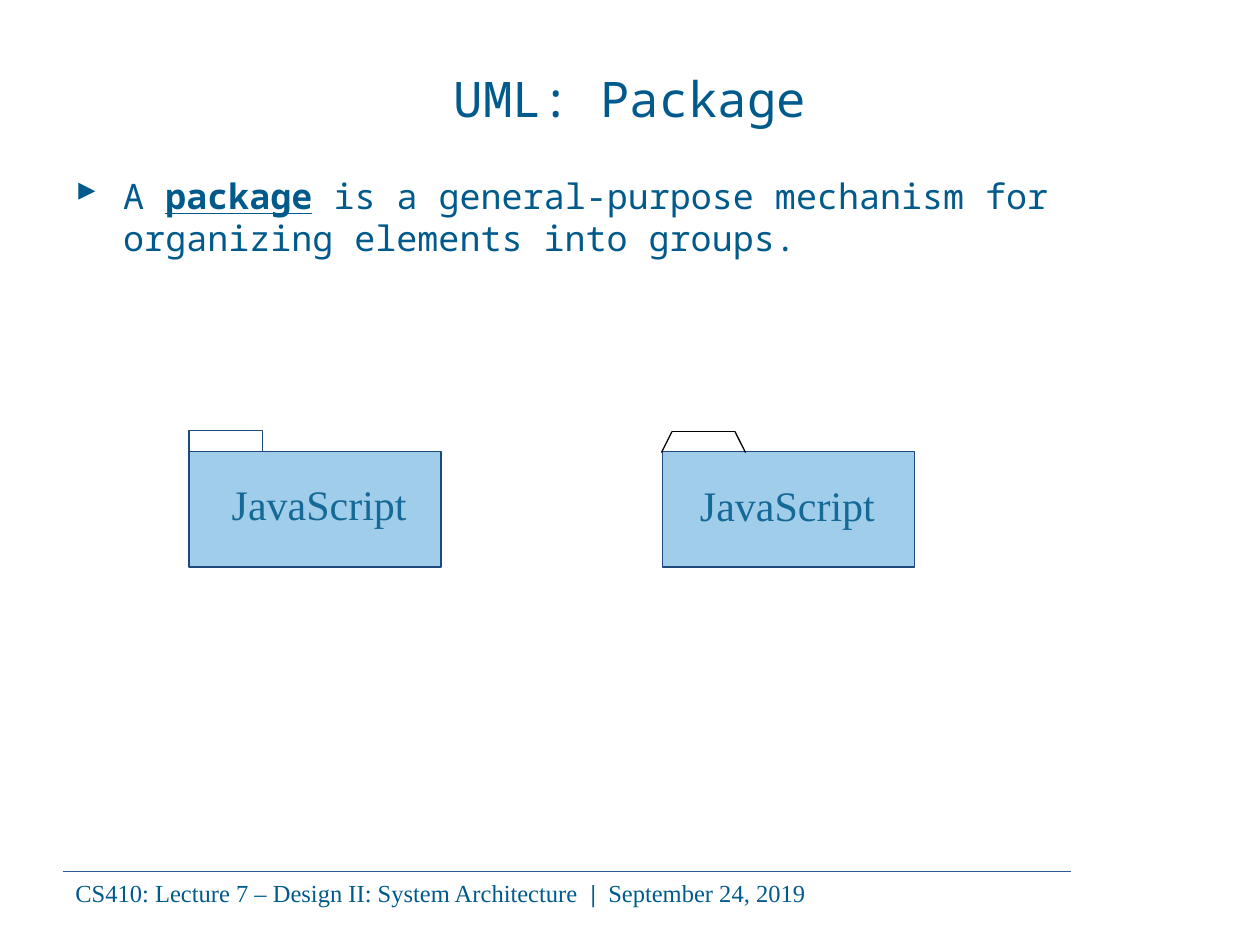
from typing import NamedTuple

from lxml import etree
from pptx import Presentation
from pptx.dml.color import RGBColor
from pptx.enum.shapes import MSO_CONNECTOR, MSO_SHAPE
from pptx.enum.text import MSO_ANCHOR, MSO_AUTO_SIZE, PP_ALIGN
from pptx.oxml.ns import qn
from pptx.util import Inches, Pt

LEFT, MID = PP_ALIGN.LEFT, PP_ALIGN.CENTER
TOP, HALF = MSO_ANCHOR.TOP, MSO_ANCHOR.MIDDLE
GROW, FIXED = MSO_AUTO_SIZE.SHAPE_TO_FIT_TEXT, MSO_AUTO_SIZE.NONE
RECT, LINE = MSO_SHAPE.RECTANGLE, MSO_CONNECTOR.STRAIGHT

MONO, SERIF = "Noto Sans Mono", "Times New Roman"
HUES = {"text": "005A8B", "label": "156997", "edge": "1F497D",
        "fill": "A0CEEA", "rule": "2D588D", "tab": "000000"}

# The slide is a grid of 120 columns by 90 rows
CELL = Inches(10) // 120


class Box(NamedTuple):
    col: float
    row: float
    cols: float
    rows: float


class Run(NamedTuple):
    text: str
    bold: bool = False
    under: bool = False


class Style(NamedTuple):
    font: str
    size: int
    hue: str = "text"
    align: PP_ALIGN = LEFT
    anchor: MSO_ANCHOR = TOP
    fit: MSO_AUTO_SIZE = FIXED
    before: int = 0


class Label(NamedTuple):
    box: Box
    runs: list[Run]
    style: Style


class Stroke(NamedTuple):
    col: float
    row: float
    to_col: float
    to_row: float
    hue: str = "tab"
    width: float = 0.75


def cells(*counts: float) -> list[int]:
    return [round(count * CELL) for count in counts]


def tint(name: str) -> RGBColor:
    return RGBColor.from_string(HUES[name])


def add_text(slide, label: Label):
    box, runs, style = label
    frame = slide.shapes.add_textbox(*cells(*box)).text_frame
    frame.word_wrap = True
    frame.auto_size = style.fit
    frame.vertical_anchor = style.anchor
    para = frame.paragraphs[0]
    para.alignment = style.align
    para.space_before = Pt(style.before)
    for item in runs:
        run = para.add_run()
        run.text = item.text
        font = run.font
        font.name, font.size = style.font, Pt(style.size)
        font.bold, font.underline = item.bold, item.under
        font.color.rgb = tint(style.hue)
    return para


def add_bullet(para, mark: str, hue: str, indent: float) -> None:
    props = para._p.get_or_add_pPr()
    props.set("marL", str(Inches(indent)))
    props.set("indent", str(-Inches(indent)))
    color = etree.SubElement(props, qn("a:buClr"))
    etree.SubElement(color, qn("a:srgbClr"), val=HUES[hue])
    etree.SubElement(props, qn("a:buChar"), char=mark)


def add_rect(slide, box: Box, fill: str | None = None) -> None:
    shape = slide.shapes.add_shape(RECT, *cells(*box))
    shape.shadow.inherit = False
    if fill:
        shape.fill.solid()
        shape.fill.fore_color.rgb = tint(fill)
    else:
        shape.fill.background()
    shape.line.color.rgb = tint("edge")
    shape.line.width = Pt(0.75)


def add_line(slide, stroke: Stroke) -> None:
    line = slide.shapes.add_connector(LINE, *cells(*stroke[:4]))
    line.line.color.rgb = tint(stroke.hue)
    line.line.width = Pt(stroke.width)
    etree.SubElement(line._element.spPr, qn("a:effectLst"))


FOOT = Label(Box(6, 83, 98, 4), [
    Run("CS410: Lecture 7 – Design II: System Architecture  "),
    Run("|  ", bold=True),
    Run("September 24, 2019"),
], Style(SERIF, 14, fit=GROW))
TITLE = Label(Box(6, 3.6, 108, 11.4), [Run("UML: Package")],
              Style(MONO, 28, align=MID, anchor=HALF))
BODY = Label(Box(6, 16, 103, 12), [
    Run("A "),
    Run("package", bold=True, under=True),
    Run(" is a general-purpose mechanism for organizing elements into groups."),
], Style(MONO, 20, before=5))
NAME = Style(SERIF, 24, "label", MID, fit=GROW, before=15)

# Package bodies: left column, and the place of the name
PACKS = [(18, 15.4, 45), (63.1, 60, 45.1)]
TAB = Box(18, 41, 7, 3)
# Corners of the slanted tab, from lower left to lower right
SLANT = [(63, 43.1), (64, 41.1), (70, 41.1), (71, 43.1)]


def main() -> None:
    deck = Presentation()
    deck.slide_width, deck.slide_height = cells(120, 90)
    slide = deck.slides.add_slide(deck.slide_layouts[6])

    # Footer, title and definition
    add_line(slide, Stroke(6, 83, 102, 83, "rule", 0.5))
    add_text(slide, FOOT)
    add_text(slide, TITLE)
    add_bullet(add_text(slide, BODY), "▸", "text", 0.38)

    # Packages with their tabs
    add_rect(slide, TAB)
    for col, name_col, name_row in PACKS:
        add_rect(slide, Box(col, 43, 24, 11), "fill")
        add_text(slide, Label(Box(name_col, name_row, 30, 6),
                              [Run("JavaScript")], NAME))
    for start, end in zip(SLANT, SLANT[1:]):
        add_line(slide, Stroke(*start, *end))

    deck.save("out.pptx")


if __name__ == "__main__":
    main()
